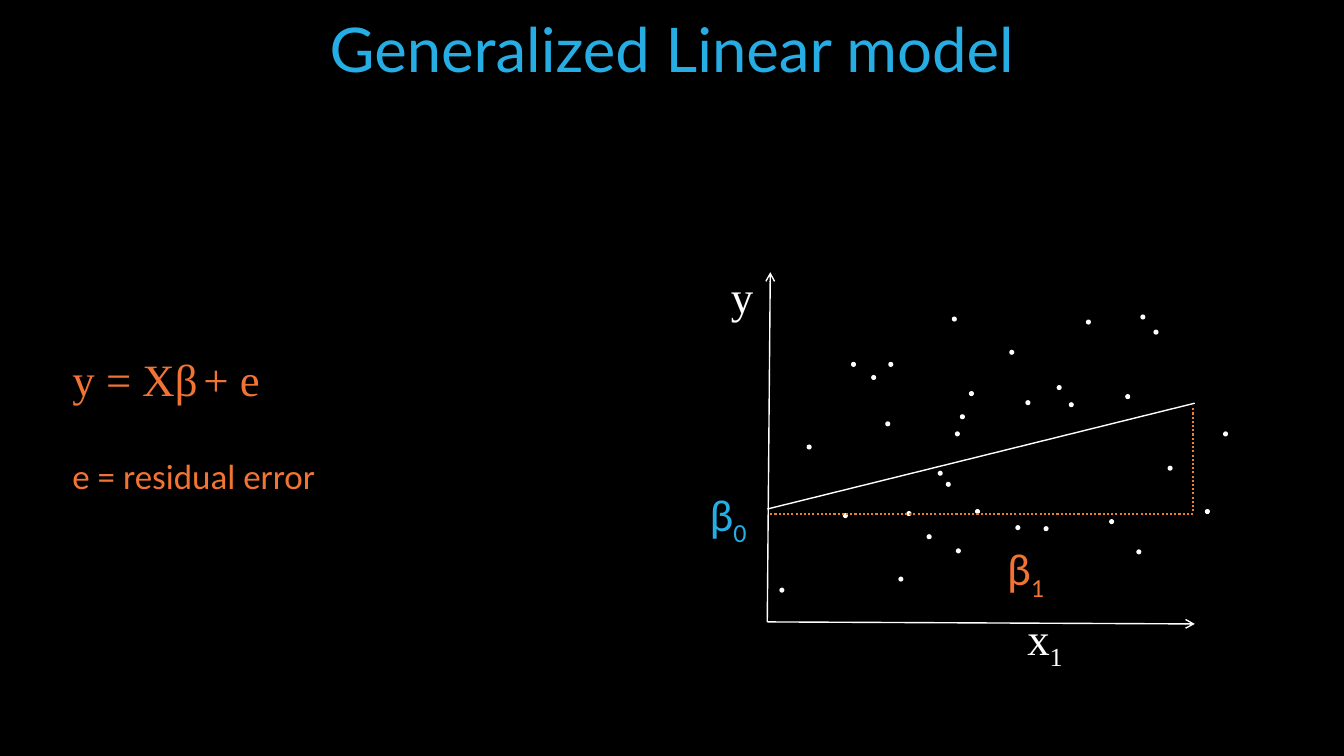
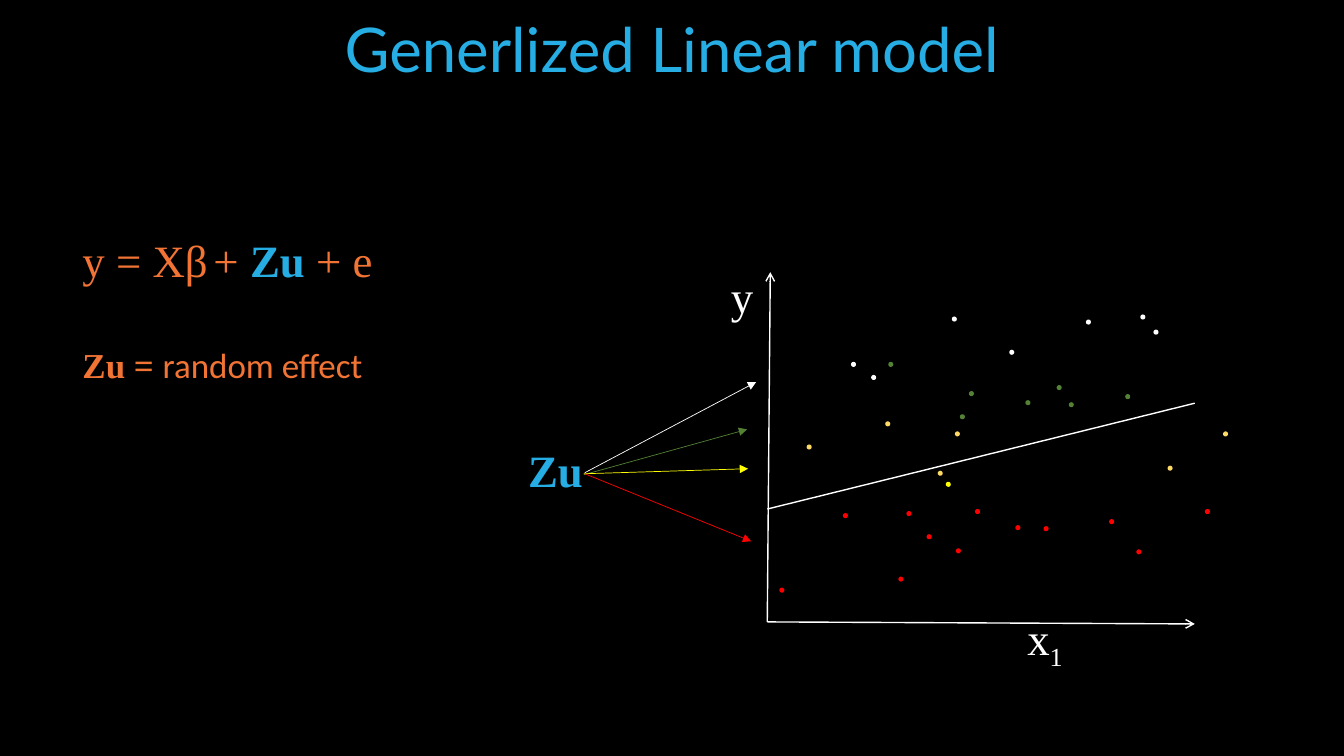
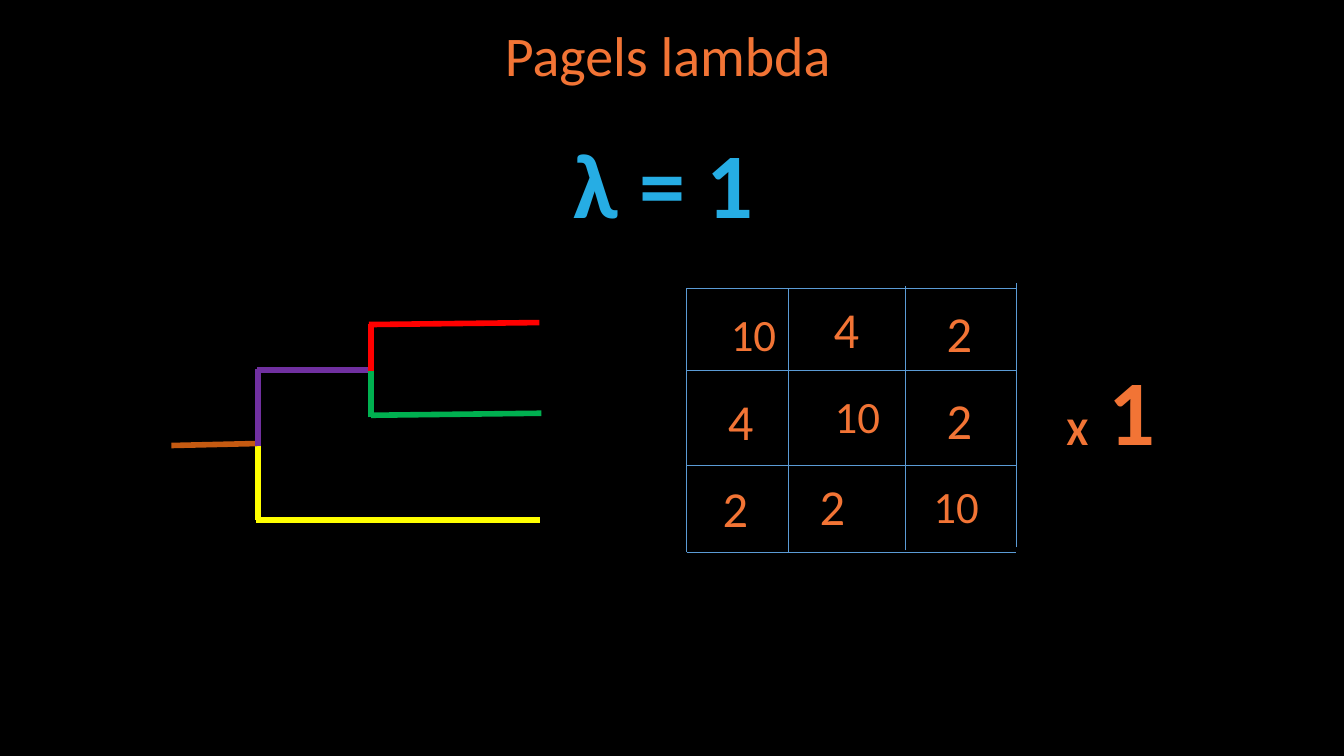
from dataclasses import dataclass

from pptx import Presentation
from pptx.dml.color import RGBColor
from pptx.enum.dml import MSO_LINE
from pptx.enum.shapes import MSO_CONNECTOR, MSO_SHAPE
from pptx.enum.text import MSO_AUTO_SIZE, PP_ALIGN
from pptx.oxml.ns import qn
from pptx.util import Inches, Pt
from lxml.etree import SubElement


@dataclass(frozen=True)
class Theme:
    back: str = "000000"
    white: str = "FFFFFF"
    blue: str = "26ADE4"
    flame: str = "F27435"
    guide: str = "ED7D31"
    grid: str = "5B9BD5"
    red: str = "FF0000"
    leaf: str = "548235"
    gold: str = "FFD966"
    sun: str = "FFFF00"
    green: str = "00B050"
    plum: str = "7030A0"
    rust: str = "C55A11"
    sans: str = "Calibri"
    serif: str = "Times New Roman"
    head: str = "Lato"
    title: int = 44
    topic: int = 40
    huge: int = 66
    text: int = 32
    note: int = 25
    digit: int = 36
    times: int = 28
    thin: int = 16


T = Theme()
DOT = 0.05

CLOUD = {
    T.white: [(8.44, 3.59), (10.01, 3.47), (8.64, 3.72), (9.44, 3.14),
              (10.77, 3.17), (11.31, 3.12), (11.44, 3.27)],
    T.leaf: [(10.48, 3.82), (10.6, 3.99), (9.52, 4.11), (8.81, 3.59),
             (10.17, 3.97), (9.61, 3.88), (11.16, 3.91)],
    T.gold: [(8, 4.41), (9.3, 4.67), (9.47, 4.28), (8.78, 4.18),
             (11.58, 4.62), (12.13, 4.28)],
    T.sun: [(9.38, 4.78)],
    T.red: [(9.19, 5.3), (10.07, 5.21), (8.36, 5.09), (7.73, 5.83),
            (8.91, 5.72), (10.35, 5.22), (8.99, 5.07), (9.67, 5.05),
            (9.48, 5.44), (11, 5.15), (11.27, 5.45), (11.95, 5.05)],
}

AXES = [((7.61, 6.17), (7.64, 2.7), "arrow"),
        ((7.61, 6.17), (11.85, 6.19), "arrow"),
        ((7.61, 5.05), (11.85, 4), None)]
GUIDES = [((7.64, 5.1), (11.83, 5.1)), ((11.83, 4.05), (11.83, 5.09))]
RAYS = [((5.8, 4.69), (7.5, 3.79), T.white),
        ((5.79, 4.71), (7.41, 4.26), T.leaf),
        ((5.79, 4.7), (7.42, 4.65), T.sun),
        ((5.8, 4.7), (7.45, 5.37), T.red)]

TREE = [((3.66, 3.22), (5.35, 3.2), T.red),
        ((3.68, 4.12), (5.37, 4.1), T.green),
        ((2.55, 3.67), (3.68, 3.67), T.plum),
        ((2.56, 5.16), (2.56, 4.4), T.sun),
        ((2.54, 5.16), (5.36, 5.16), T.sun),
        ((1.7, 4.42), (2.55, 4.4), T.rust),
        ((3.68, 3.68), (3.68, 3.21), T.red),
        ((3.68, 4.14), (3.68, 3.68), T.green),
        ((2.56, 4.42), (2.56, 3.66), T.plum)]

COLS = [(6.81, 2.86), (7.82, 2.86), (8.98, 2.84), (10.08, 2.81)]
ROWS = [2.86, 3.67, 4.62, 5.48]
TALL = 2.62
CELLS = {
    "10": [(7.15, 2.99), (8.18, 3.81), (9.16, 4.7)],
    "4": [(7.12, 3.82), (8.17, 2.91)],
    "2": [(7.07, 4.68), (8.03, 4.66), (9.29, 3.81), (9.29, 2.95)],
}

XBETA = [("y = Xβ", T.text, T.serif, T.flame),
         (" ", T.thin, T.serif, T.flame)]


def rgb(code):
    return RGBColor.from_string(code)


def add_run(para, text, size, face, color, bold=False, base=0):
    run = para.add_run()
    run.text = text
    font = run.font
    font.size, font.name, font.bold = Pt(size), face, bold
    font.color.rgb = rgb(color)
    if base:
        run._r.get_or_add_rPr().set("baseline", str(base * 1000))


def label(slide, area, *lines, wrap=False, align=None, gap=0, grow=True):
    box = slide.shapes.add_textbox(*map(Inches, area))
    frame = box.text_frame
    frame.word_wrap = wrap
    if grow:
        frame.auto_size = MSO_AUTO_SIZE.SHAPE_TO_FIT_TEXT
    for i, runs in enumerate(lines):
        para = frame.add_paragraph() if i else frame.paragraphs[0]
        para.alignment = align
        if i:
            para.space_before = Pt(gap)
        for run in runs:
            add_run(para, *run)


def line(host, start, end, color, width, tip=None, dash=None):
    link = host.shapes.add_connector(
        MSO_CONNECTOR.STRAIGHT, *map(Inches, (*start, *end)))
    link.line.color.rgb = rgb(color)
    link.line.width = Pt(width)
    if dash:
        link.line.dash_style = dash
    if tip:
        SubElement(link.line._get_or_add_ln(), qn("a:tailEnd"), type=tip)
    SubElement(link._element.spPr, qn("a:effectLst"))


def symbol(slide, area, name, index, face, color):
    label(slide, area, [(name, T.text, face, color),
                        (index, T.text, face, color, False, -25)])


def heading(slide, text):
    label(slide, (0, 0.06, 13.33, 0.84), [(text, T.title, T.head, T.blue)],
          wrap=True, align=PP_ALIGN.CENTER)


def formula(slide, left, top, lines, gap):
    label(slide, (left, top, 5.06, 1.48), *lines,
          wrap=True, gap=gap, grow=False)


def scatter(slide, tinted):
    label(slide, (7.15, 2.62, 0.43, 0.64), [("y", T.text, T.serif, T.white)])
    symbol(slide, (10.09, 6.01, 0.59, 0.64), "x", "1", T.serif, T.white)
    for start, end, tip in AXES:
        line(slide, start, end, T.white, 1, tip)
    for color, spots in CLOUD.items():
        for x, y in spots:
            dot = slide.shapes.add_shape(
                MSO_SHAPE.OVAL, *map(Inches, (x, y, DOT, DOT)))
            dot.shadow.inherit = False
            dot.fill.solid()
            dot.fill.fore_color.rgb = rgb(color if tinted else T.white)
            dot.line.fill.background()


def matrix(slide):
    for x, top in COLS:
        line(slide, (x, top + TALL), (x, top), T.grid, 0.5)
    for y in ROWS:
        line(slide, (COLS[0][0], y), (COLS[-1][0], y), T.grid, 0.5)
    for text, spots in CELLS.items():
        wide = len(text) > 1
        size = T.text if wide else T.digit
        area = (0.66, 0.64) if wide else (0.46, 0.71)
        for spot in spots:
            label(slide, spot + area, [(text, size, T.sans, T.flame)])


def linear(slide):
    heading(slide, "Generalized Linear model")
    scatter(slide, False)
    symbol(slide, (6.94, 4.78, 0.59, 0.64), "β", "0", T.sans, T.blue)
    symbol(slide, (9.89, 5.32, 0.59, 0.64), "β", "1", T.sans, T.flame)
    for start, end in GUIDES:
        line(slide, start, end, T.guide, 1.5, dash=MSO_LINE.ROUND_DOT)
    formula(slide, 0.62, 3.44, [
        [*XBETA, ("+ e", T.text, T.serif, T.flame)],
        [("e = residual error", T.note, T.sans, T.flame)]], 35)


def mixed(slide):
    heading(slide, "Generlized Linear model")
    scatter(slide, True)
    formula(slide, 0.72, 2.26, [
        [*XBETA, ("+ ", T.text, T.serif, T.flame),
         ("Zu ", T.text, T.serif, T.blue, True),
         ("+ e", T.text, T.serif, T.flame)],
        [("Zu = ", T.note, T.serif, T.flame, True),
         ("random effect", T.note, T.sans, T.flame)]], 41)
    label(slide, (5.14, 4.34, 0.8, 0.64),
          [("Zu", T.text, T.serif, T.blue, True)], wrap=True)
    for start, end, color in RAYS:
        line(slide, start, end, color, 0.5, "triangle")


def pagel(slide):
    tree = slide.shapes.add_group_shape()
    for start, end, color in TREE:
        line(tree, start, end, color, 4)
    matrix(slide)
    label(slide, (4.91, 0.15, 3.46, 0.77),
          [("Pagels lambda", T.topic, T.sans, T.flame)])
    label(slide, (10.48, 3.45, 1.1, 1.21),
          [("X", T.times, T.sans, T.flame, True),
           (" 1", T.huge, T.sans, T.flame, True)])
    label(slide, (5.59, 1.2, 2, 1.21),
          [("λ = 1", T.huge, T.sans, T.blue, True)])


def main():
    deck = Presentation()
    deck.slide_width, deck.slide_height = Inches(13.33), Inches(7.5)
    fill = deck.slide_master.background.fill
    fill.solid()
    fill.fore_color.rgb = rgb(T.back)
    for build in (linear, mixed, pagel):
        build(deck.slides.add_slide(deck.slide_layouts[6]))
    deck.save("out.pptx")


if __name__ == "__main__":
    main()
